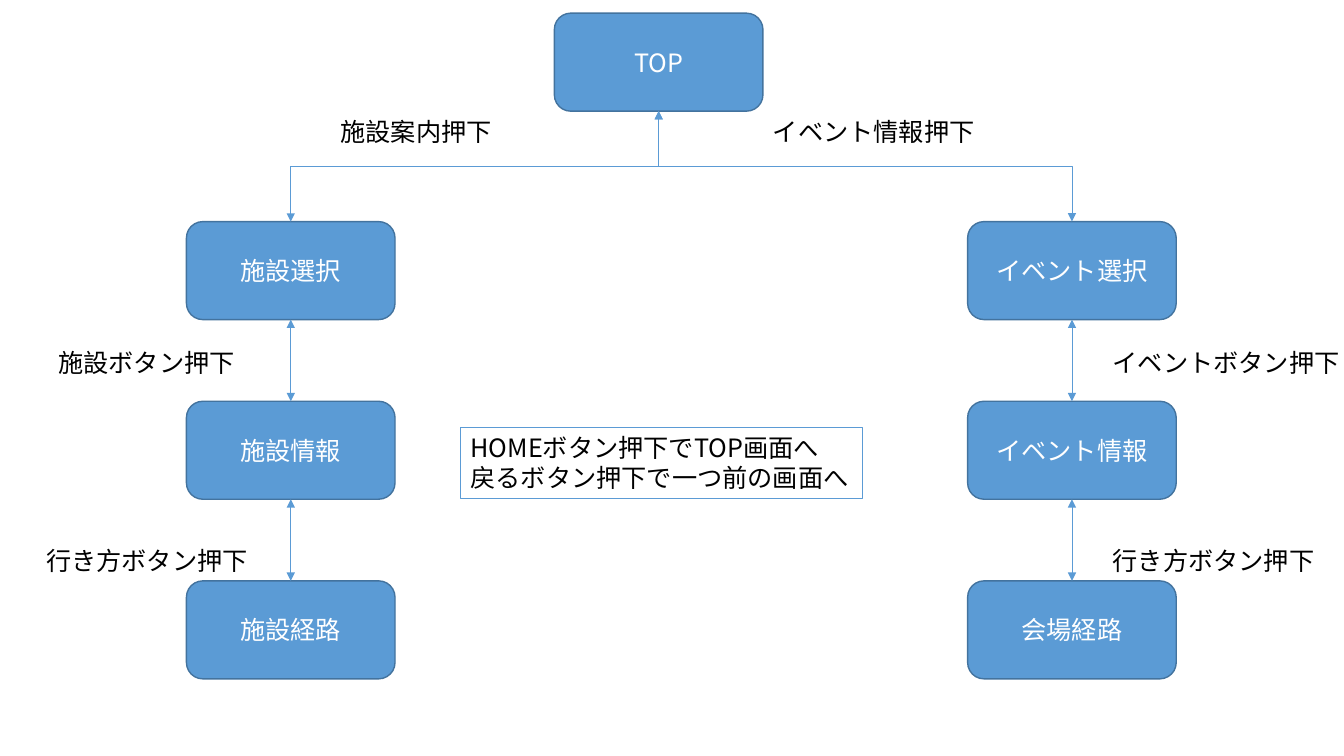
from lxml.etree import SubElement
from pptx import Presentation
from pptx.dml.color import RGBColor
from pptx.enum.shapes import MSO_CONNECTOR, MSO_SHAPE
from pptx.enum.text import MSO_ANCHOR, MSO_AUTO_SIZE, PP_ALIGN
from pptx.oxml.ns import qn
from pptx.util import Pt

BLUE = RGBColor(0x5B, 0x9B, 0xD5)
DARK_BLUE = RGBColor(0x43, 0x73, 0x9E)
WHITE = RGBColor(0xFF, 0xFF, 0xFF)
BLACK = RGBColor(0x00, 0x00, 0x00)

SCREEN_W, SCREEN_H = 149, 70
FIRST_ROW, ROW_STEP = 158.3, 128.3
TOP_SIDE, BOTTOM_SIDE = 0, 2

# Column left edge and its screens from top to bottom
BRANCHES = [
    (133.2, ["施設選択", "施設情報", "施設経路"]),
    (691.2, ["イベント選択", "イベント情報", "会場経路"]),
]
ACTIONS = [
    (545, 79.2, "イベント情報押下"),
    (236.2, 79.2, "施設案内押下"),
    (34.6, 244.8, "施設ボタン押下"),
    (25.9, 386, "行き方ボタン押下"),
    (787.7, 386, "行き方ボタン押下"),
    (787.7, 244.8, "イベントボタン押下"),
]


class FlowSlide:
    font_name = "Noto Sans CJK JP"
    font_size = 18

    def __init__(self, slide):
        self.shapes = slide.shapes

    def set_text(self, shape, text, color=BLACK, align=PP_ALIGN.LEFT,
                 anchor=MSO_ANCHOR.TOP, wrap=False):
        frame = shape.text_frame
        frame.word_wrap = wrap
        frame.vertical_anchor = anchor
        if not wrap:
            frame.auto_size = MSO_AUTO_SIZE.SHAPE_TO_FIT_TEXT
        paragraph = frame.paragraphs[0]
        paragraph.text = text
        paragraph.alignment = align
        for run in paragraph.runs:
            run.font.size = Pt(self.font_size)
            run.font.name = self.font_name
            run.font.color.rgb = color
            SubElement(run.font._element, qn("a:ea"), typeface=self.font_name)

    def panel(self, preset, left, top, width, height, fill, line):
        panel = self.shapes.add_shape(preset, Pt(left), Pt(top), Pt(width), Pt(height))
        panel.shadow.inherit = False
        panel.fill.solid()
        panel.fill.fore_color.rgb = fill
        panel.line.color.rgb = line
        panel.line.width = Pt(1)
        return panel

    def screen(self, left, top, name):
        screen = self.panel(MSO_SHAPE.FLOWCHART_ALTERNATE_PROCESS, left, top,
                            SCREEN_W, SCREEN_H, BLUE, DARK_BLUE)
        self.set_text(screen, name, color=WHITE, align=PP_ALIGN.CENTER,
                      anchor=MSO_ANCHOR.MIDDLE, wrap=True)
        return screen

    def note(self, left, top, width, height, text):
        self.set_text(self.panel(MSO_SHAPE.RECTANGLE, left, top, width, height,
                                 WHITE, BLUE), text)

    def action(self, left, top, text):
        width = self.font_size * len(text) + 16
        self.set_text(self.shapes.add_textbox(Pt(left), Pt(top), Pt(width), Pt(29)), text)

    def two_way(self, kind, start, start_side, end, end_side):
        """Join two screens with a line that has an arrowhead at each end."""
        link = self.shapes.add_connector(kind, 0, 0, 0, 0)
        link.begin_connect(start, start_side)
        link.end_connect(end, end_side)
        link.line.color.rgb = BLUE
        link.line.width = Pt(0.5)
        outline = link.line._get_or_add_ln()
        for end_tag in ("a:headEnd", "a:tailEnd"):
            SubElement(outline, qn(end_tag), type="triangle")
        SubElement(link._element.spPr, qn("a:effectLst"))
        return link

    def branch_up(self, child, parent):
        """Leave the child upwards and enter the parent from below."""
        link = self.two_way(MSO_CONNECTOR.ELBOW, child, TOP_SIDE, parent, BOTTOM_SIDE)
        x1, y1, x2, y2 = link.begin_x, link.begin_y, link.end_x, link.end_y
        rise, run = abs(y2 - y1), abs(x2 - x1)
        link.left, link.top = (x1 + x2 - rise) // 2, (y1 + y2 - run) // 2
        link.width, link.height = rise, run
        frame = link._element.spPr.xfrm
        frame.set("rot", str(270 * 60000))
        frame.set("flipH", "0")
        frame.set("flipV", "1" if x2 < x1 else "0")


def main():
    deck = Presentation()
    deck.slide_width, deck.slide_height = Pt(960), Pt(540)
    flow = FlowSlide(deck.slides.add_slide(deck.slide_layouts[6]))

    flow.note(329, 305.3, 287.3, 51,
              "HOMEボタン押下でTOP画面へ\n戻るボタン押下で一つ前の画面へ")
    home = flow.screen(396, 9.4, "TOP")
    for left, names in BRANCHES:
        screens = [flow.screen(left, FIRST_ROW + row * ROW_STEP, name)
                   for row, name in enumerate(names)]
        for upper, lower in zip(screens, screens[1:]):
            flow.two_way(MSO_CONNECTOR.STRAIGHT, upper, BOTTOM_SIDE, lower, TOP_SIDE)
        flow.branch_up(screens[0], home)
    for left, top, text in ACTIONS:
        flow.action(left, top, text)

    deck.save("out.pptx")


if __name__ == "__main__":
    main()
